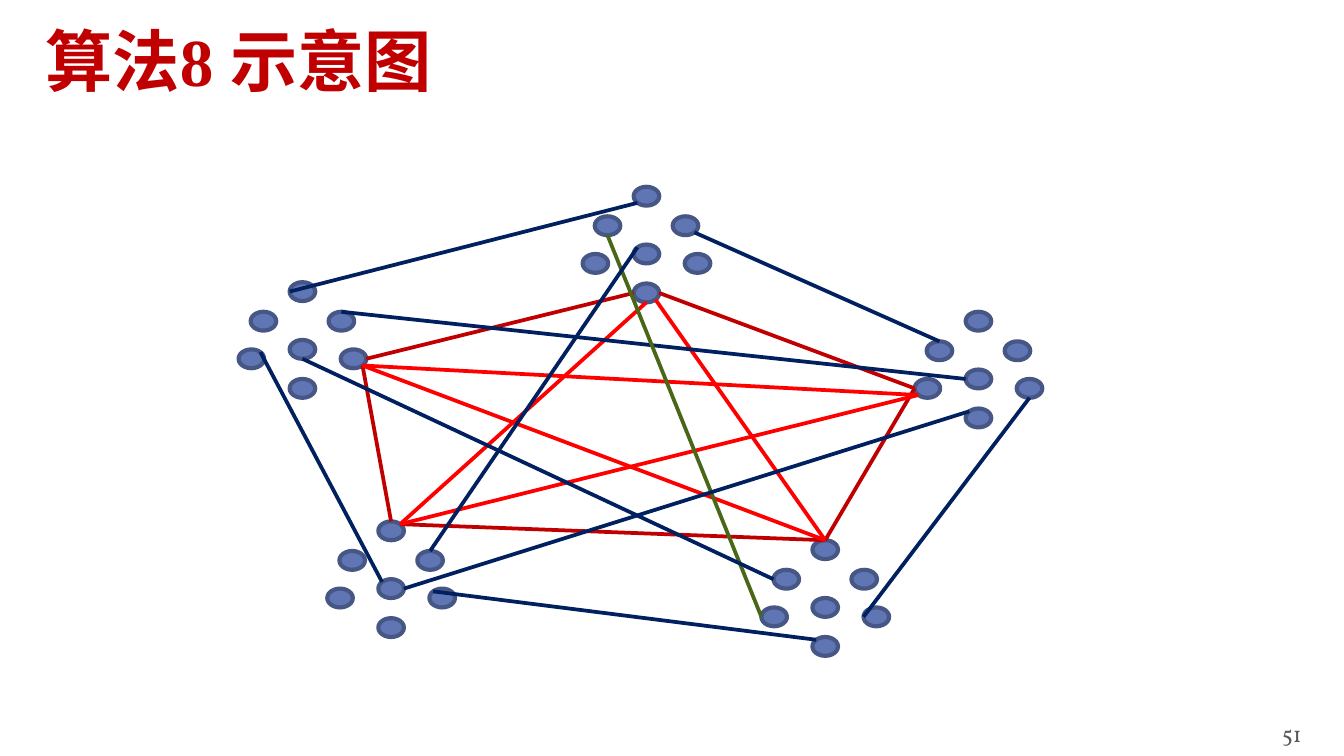
from lxml import etree
from pptx import Presentation
from pptx.dml.color import RGBColor
from pptx.enum.shapes import MSO_CONNECTOR, MSO_SHAPE
from pptx.enum.text import MSO_ANCHOR
from pptx.oxml.ns import qn
from pptx.util import Inches, Pt

OVAL = MSO_SHAPE.OVAL
STRAIGHT = MSO_CONNECTOR.STRAIGHT
BOTTOM, MIDDLE = MSO_ANCHOR.BOTTOM, MSO_ANCHOR.MIDDLE

WHITE = RGBColor(0xFF, 0xFF, 0xFF)
CRIMSON = RGBColor(0xC0, 0x00, 0x00)
RED = RGBColor(0xFF, 0x00, 0x00)
NAVY = RGBColor(0x00, 0x20, 0x60)
GREEN = RGBColor(0x4A, 0x67, 0x17)
NODE_FILL = RGBColor(0x60, 0x76, 0xB4)
NODE_LINE = RGBColor(0x47, 0x57, 0x85)
GREY = RGBColor(0x59, 0x59, 0x59)

SLIDE_W = 10
SLIDE_H = SLIDE_W * 9 / 16
NODE_W, NODE_H = 0.19, 0.14
DIAGONAL = 0.71

# Cluster centres, relative to the diagram box
CLUSTERS = {
    "SE": (4.37, 3.13), "E": (5.51, 1.43), "SW": (1.14, 2.99),
    "W": (0.48, 1.21), "N": (3.04, 0.5),
}
# Node centres, relative to the cluster centre
NODES = {
    "upper_left": (-0.29, -0.21), "top": (0, -0.43), "centre": (0, 0),
    "upper_right": (0.29, -0.21), "left": (-0.38, 0.07),
    "bottom": (0, 0.29), "right": (0.38, 0.07),
}
# Points on a node's rim, in half widths and half heights
RIM = {
    "n": (0, -1), "s": (0, 1), "w": (-1, 0), "e": (1, 0),
    "nw": (-DIAGONAL, -DIAGONAL), "ne": (DIAGONAL, -DIAGONAL),
    "sw": (-DIAGONAL, DIAGONAL), "se": (DIAGONAL, DIAGONAL),
}
# Each link end is "cluster node rim-point"
LINKS = [
    # Ring around the inner nodes
    (CRIMSON, "W right e", "N bottom w"),
    (CRIMSON, "N bottom e", "E left w"),
    (CRIMSON, "W right se", "SW top n"),
    (CRIMSON, "SW top ne", "SE top n"),
    (CRIMSON, "SE top n", "E left w"),
    # Star between the inner nodes
    (RED, "W right se", "E left sw"),
    (RED, "W right se", "SE top n"),
    (RED, "SW top ne", "E left sw"),
    (RED, "N bottom s", "SW top ne"),
    (RED, "N bottom se", "SE top n"),
    # Links between other members of the clusters
    (NAVY, "N upper_right se", "E upper_left n"),
    (NAVY, "SW right nw", "SE bottom nw"),
    (NAVY, "W upper_right n", "E centre w"),
    (GREEN, "N upper_left s", "SE left w"),
    (NAVY, "W left ne", "SW centre nw"),
    (NAVY, "N centre nw", "SW upper_right n"),
    (NAVY, "SW centre e", "E bottom nw"),
    (NAVY, "SE right w", "E right s"),
    (NAVY, "W top w", "N top sw"),
    (NAVY, "W centre s", "SE upper_left w"),
]


def add_text(s, box, text, font, anchor, left_inset=0.1, spacing=None):
    sp = s.shapes.add_textbox(*(Inches(v) for v in box))
    tf = sp.text_frame
    tf.word_wrap = True
    tf.vertical_anchor = anchor
    tf.margin_left = Inches(left_inset)
    p = tf.paragraphs[0]
    p.line_spacing = spacing
    r = p.add_run()
    r.text = text
    color = font["color"]
    for name, value in font.items():
        if name != "color":
            setattr(r.font, name, value)
    r.font.color.rgb = color


def add_cluster(s, cx, cy):
    for dx, dy in NODES.values():
        sp = s.shapes.add_shape(
            OVAL, Inches(cx + dx - NODE_W / 2), Inches(cy + dy - NODE_H / 2),
            Inches(NODE_W), Inches(NODE_H))
        sp.shadow.inherit = False
        sp.fill.solid()
        sp.fill.fore_color.rgb = NODE_FILL
        sp.line.color.rgb = NODE_LINE
        sp.line.width = Pt(2.25)


def link_end(left, top, name):
    cluster, node, rim = name.split()
    (cx, cy), (dx, dy), (rx, ry) = CLUSTERS[cluster], NODES[node], RIM[rim]
    return (Inches(left + cx + dx + rx * NODE_W / 2),
            Inches(top + cy + dy + ry * NODE_H / 2))


def add_diagram(s, left, top):
    for cx, cy in CLUSTERS.values():
        add_cluster(s, left + cx, top + cy)
    for color, start, end in LINKS:
        link = s.shapes.add_connector(
            STRAIGHT, *link_end(left, top, start), *link_end(left, top, end))
        link.line.color.rgb = color
        link.line.width = Pt(2)
        etree.SubElement(link._element.spPr, qn("a:effectLst"))


def main():
    prs = Presentation()
    prs.slide_width, prs.slide_height = Inches(SLIDE_W), Inches(SLIDE_H)
    s = prs.slides.add_slide(prs.slide_layouts[6])
    s.background.fill.solid()
    s.background.fill.fore_color.rgb = WHITE

    # Title
    title_font = {"name": "Times New Roman", "size": Pt(36), "bold": True,
                  "color": CRIMSON}
    add_text(s, (0.24, 0.14, 9, 0.65), "算法8 示意图", title_font, BOTTOM,
             spacing=Pt(58))

    # Clusters and their links
    add_diagram(s, 1.77, 1.39)

    # Page number
    number_font = {"name": "Vollkorn", "size": Pt(12), "color": GREY}
    add_text(s, (9.51, 5.31, 0.45, 0.3), "51", number_font, MIDDLE,
             left_inset=0.03)

    prs.save("out.pptx")


if __name__ == "__main__":
    main()
